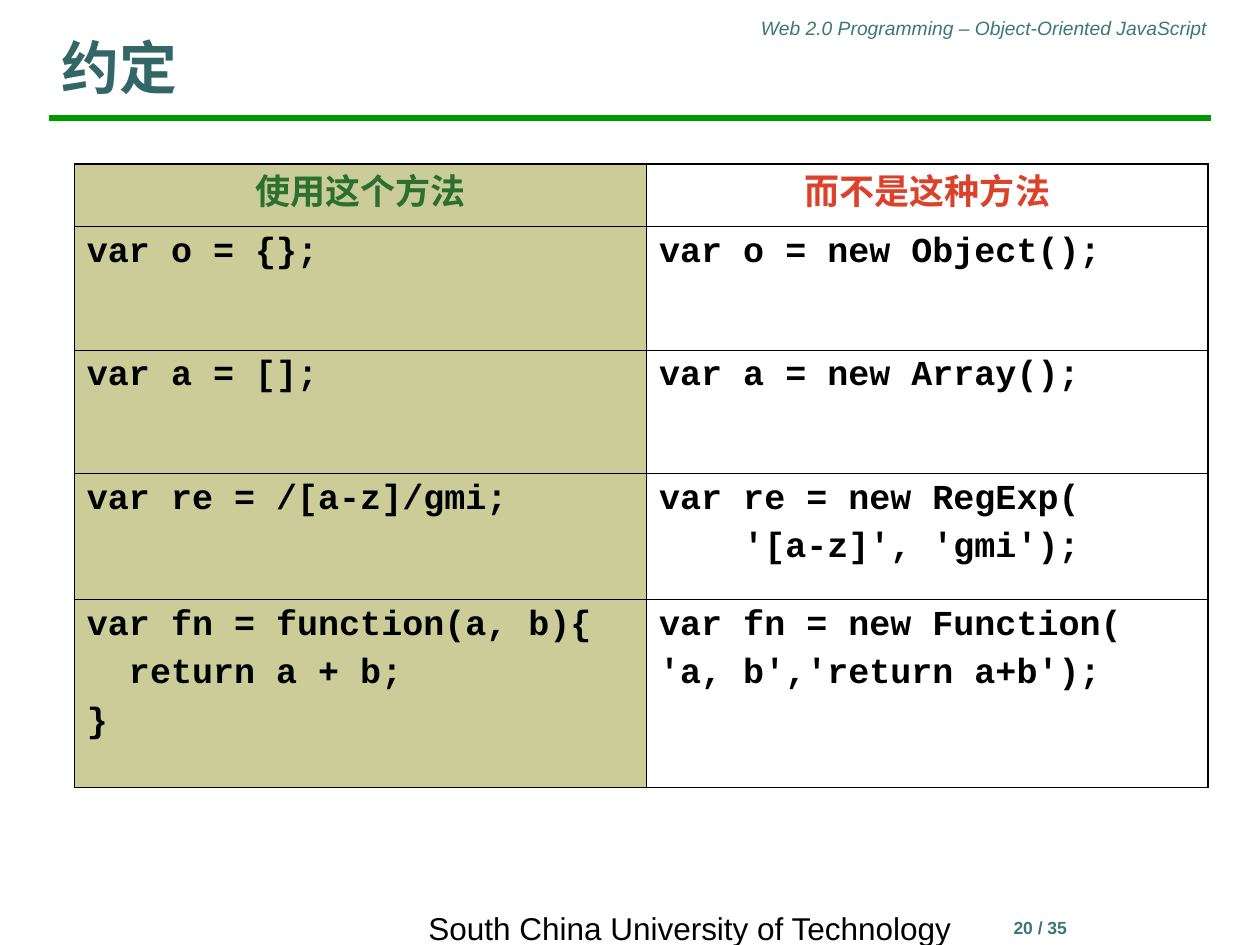
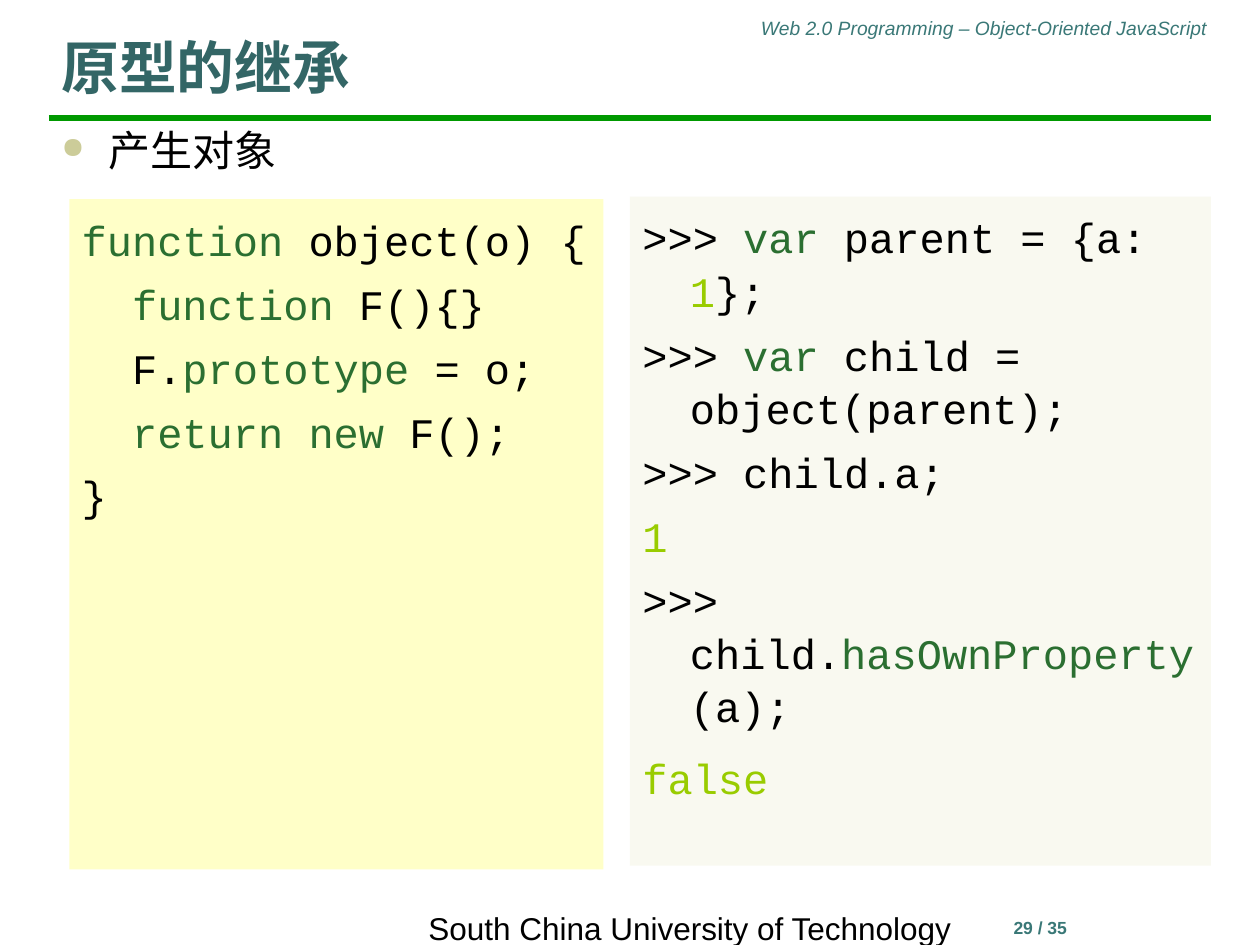
from lxml import etree
from pptx import Presentation
from pptx import util as u
from pptx.dml.color import RGBColor
from pptx.enum import shapes, text
from pptx.oxml import ns

Pt = u.Pt
BLACK, TEAL, TITLE = "000000", "3A7877", "336666"
GREEN, LIME, RED = "2B6F31", "99CC00", "DC422A"
RULE, KHAKI, YELLOW, IVORY = "009900", "CCCC99", "FFFFC8", "F9F9F0"
LEFT, CENTER, RIGHT = text.PP_ALIGN.LEFT, text.PP_ALIGN.CENTER, text.PP_ALIGN.RIGHT
TOP, MIDDLE, BOTTOM = text.MSO_ANCHOR.TOP, text.MSO_ANCHOR.MIDDLE, text.MSO_ANCHOR.BOTTOM
HANG = 27.2


def rgb(hex_string):
    return RGBColor.from_string(hex_string)


def write(tf, lines, size, font, align=LEFT, bold=False, italic=False,
          before=0, spacing=None, hang=0):
    """Each line is a list of (text, colour) runs."""
    for i, line in enumerate(lines):
        p = tf.paragraphs[0] if i == 0 else tf.add_paragraph()
        p.alignment = align
        if i:
            p.space_before = Pt(before)
        if spacing:
            p.line_spacing = spacing
        if hang:
            pPr = p._p.get_or_add_pPr()
            pPr.set("marL", str(Pt(hang)))
            pPr.set("indent", str(-Pt(hang)))
        for words, color in line:
            r = p.add_run()
            r.text = words
            r.font.size, r.font.name = Pt(size), font
            r.font.bold, r.font.italic = bold, italic
            r.font.color.rgb = rgb(color)
            etree.SubElement(r._r.rPr, ns.qn("a:ea"), typeface=font)


prs = Presentation()
prs.slide_width, prs.slide_height = Pt(720), Pt(540)

# Shared frame: green rule, running head, footer, page number, title
slides = []
for title, page in (("约定", 20), ("原型的继承", 29)):
    s = prs.slides.add_slide(prs.slide_layouts[6])
    slides.append(s)
    rule = s.shapes.add_connector(shapes.MSO_CONNECTOR.STRAIGHT,
                                  Pt(28), Pt(67.5), Pt(692), Pt(67.5))
    rule.line.color.rgb = rgb(RULE)
    rule.line.width = Pt(3)
    etree.SubElement(rule._element.spPr, ns.qn("a:effectLst"))

    for words, box, anchor, color, style in (
        ("Web 2.0 Programming – Object-Oriented JavaScript", (348.5, 5.8, 348.5, 21),
         TOP, TEAL, dict(size=11, font="Arial", align=RIGHT, italic=True)),
        (f"{page} / 35", (513.4, 520.6, 162, 36),
         TOP, TEAL, dict(size=10, font="Arial", align=CENTER, bold=True)),
        ("South China University of Technology", (229.7, 520.6, 329, 19.4),
         MIDDLE, BLACK, dict(size=18, font="Arial", align=CENTER)),
        (title, (28, 10.8, 664, 50.4),
         BOTTOM, TITLE, dict(size=33, font="Montserrat", bold=True)),
    ):
        tf = s.shapes.add_textbox(*map(Pt, box)).text_frame
        tf.word_wrap = True
        tf.vertical_anchor = anchor
        write(tf, [[(words, color)]], **style)

# Slide 1: table of conventions
rows = [
    ("使用这个方法", "而不是这种方法"),
    ("var o = {};", "var o = new Object();"),
    ("var a = [];", "var a = new Array();"),
    ("var re = /[a-z]/gmi;", "var re = new RegExp(\n    '[a-z]', 'gmi');"),
    ("var fn = function(a, b){\n  return a + b;\n}",
     "var fn = new Function(\n'a, b','return a+b');"),
]
widths, heights = (327, 321), (36, 70.6, 70.6, 72, 107.2)
frame = s = slides[0].shapes.add_table(len(rows), 2, Pt(42.5), Pt(93.6),
                                       Pt(sum(widths)), Pt(sum(heights)))
table = frame.table
for column, width in zip(table.columns, widths):
    column.width = Pt(width)
for i, (row, height) in enumerate(zip(rows, heights)):
    table.rows[i].height = Pt(height)
    for j, words in enumerate(row):
        cell = table.cell(i, j)
        if j == 0:
            cell.fill.solid()
            cell.fill.fore_color.rgb = rgb(KHAKI)
        else:
            cell.fill.background()
        # Thick lines on the outside, thin lines within
        outer = (("lnL", j == 0), ("lnR", j == 1), ("lnT", i == 0), ("lnB", i == len(rows) - 1))
        for k, (side, is_outer) in enumerate(outer):
            ln = etree.Element(ns.qn(f"a:{side}"), w=str(Pt(1.08 if is_outer else 0.45)))
            fill = etree.SubElement(ln, ns.qn("a:solidFill"))
            etree.SubElement(fill, ns.qn("a:srgbClr"), val=BLACK)
            cell._tc.tcPr.insert(k, ln)
        if i == 0:
            write(cell.text_frame, [[(words, (GREEN, RED)[j])]], 20, "Montserrat",
                  align=CENTER, bold=True)
        else:
            write(cell.text_frame, [[(line, BLACK)] for line in words.split("\n")],
                  20, "Courier New", bold=True, before=5)

# Slide 2: two code panels
s = slides[1]
object_code = [
    [("function", GREEN), (" object(o) {", BLACK)],
    [("  ", BLACK), ("function", GREEN), (" F(){}", BLACK)],
    [("  F.", BLACK), ("prototype", GREEN), (" = o;", BLACK)],
    [("  ", BLACK), ("return new", GREEN), (" F();", BLACK)],
    [("}", BLACK)],
]
console = [
    [(">>> ", BLACK), ("var", GREEN), (" parent = {a: ", BLACK), ("1", LIME), ("};", BLACK)],
    [(">>> ", BLACK), ("var", GREEN), (" child = object(parent);", BLACK)],
    [(">>> child.a;", BLACK)],
    [("1", LIME)],
    [(">>> child.", BLACK), ("hasOwnProperty", GREEN), ("(a);", BLACK)],
    [("false", LIME)],
]
for box, color, code in (((39.6, 113.8, 305.3, 383), YELLOW, object_code),
                         ((360, 112.3, 332, 382.3), IVORY, console)):
    sp = s.shapes.add_shape(shapes.MSO_SHAPE.RECTANGLE, *map(Pt, box))
    sp.shadow.inherit = False
    sp.fill.solid()
    sp.fill.fore_color.rgb = rgb(color)
    sp.line.fill.background()
    tf = sp.text_frame
    tf.word_wrap = True
    tf.vertical_anchor = TOP
    tf.margin_top = Pt(7)
    write(tf, code, 24, "Courier New", before=6, spacing=1.06, hang=HANG)
tf.paragraphs[-1].space_before = Pt(10.5)

# Slide 2: bullet line
tf = s.shapes.add_textbox(Pt(28), Pt(67.5), Pt(664), Pt(62)).text_frame
tf.word_wrap = True
write(tf, [[("产生对象", BLACK)]], 24, "Arial", hang=HANG)
pPr = tf.paragraphs[0]._p.pPr
bullet_color = etree.SubElement(pPr, ns.qn("a:buClr"))
etree.SubElement(bullet_color, ns.qn("a:srgbClr"), val=KHAKI)
etree.SubElement(pPr, ns.qn("a:buSzPct"), val="70000")
etree.SubElement(pPr, ns.qn("a:buChar"), char="●")

prs.save("out.pptx")
